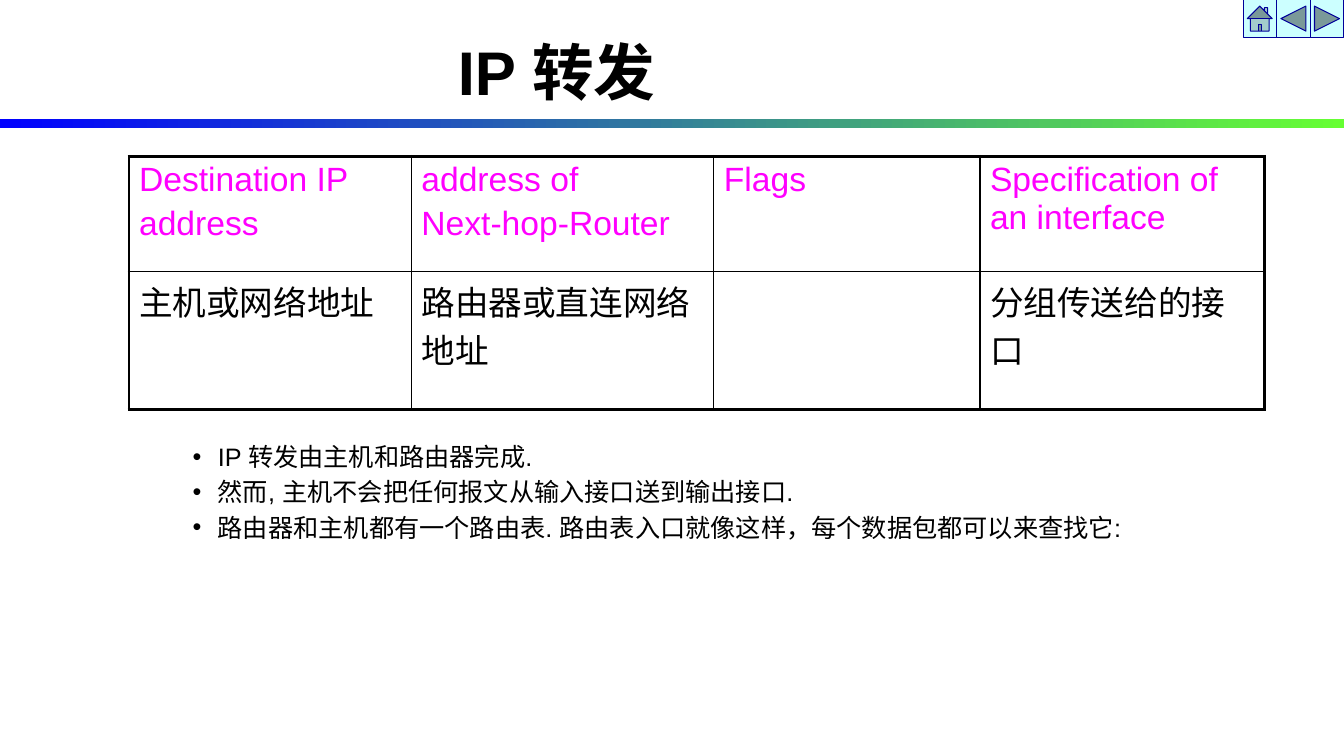
from dataclasses import dataclass

from lxml import etree
from pptx import Presentation
from pptx.dml.color import RGBColor
from pptx.enum import shapes, text
from pptx.oxml import ns
from pptx.util import Inches, Pt


@dataclass(frozen=True)
class Theme:
    black: str = "000000"
    header: str = "FF00FF"
    button: str = "CCFFFF"
    button_line: str = "000099"
    bar_start: str = "0000FF"
    bar_end: str = "66FF33"
    font: str = "Arial"
    cell_font: str = "Cabin"
    title_size: int = 44
    cell_size: int = 24
    list_size: int = 18
    outer_line: float = 2.25
    inner_line: float = 1


THEME = Theme()


def write(frame, lines, size, color, font=THEME.font, bold=False):
    """Fill a text frame with one formatted paragraph per line."""
    frame.text = "\n".join(lines)
    for index, para in enumerate(frame.paragraphs):
        para.space_before = Pt(size * 0.2 if index else 0)
        for span in para.runs:
            span.font.name = font
            span.font.size = Pt(size)
            span.font.bold = bold
            span.font.color.rgb = RGBColor.from_string(color)


def draw_border(cell, side, width):
    properties = cell._tc.get_or_add_tcPr()
    line = etree.SubElement(properties, ns.qn(f"a:ln{side}"), w=str(Pt(width)))
    fill = etree.SubElement(line, ns.qn("a:solidFill"))
    etree.SubElement(fill, ns.qn("a:srgbClr"), val=THEME.black)


deck = Presentation()
deck.slide_width, deck.slide_height = Inches(13.33), Inches(7.5)
page = deck.slides.add_slide(deck.slide_layouts[1])
title, body = page.placeholders

# Navigation buttons and colour bar
kinds = shapes.MSO_SHAPE
buttons = [
    kinds.ACTION_BUTTON_HOME,
    kinds.ACTION_BUTTON_BACK_OR_PREVIOUS,
    kinds.ACTION_BUTTON_FORWARD_OR_NEXT,
]
for index, kind in enumerate(buttons):
    left = 12.33 + index / 3
    button = page.shapes.add_shape(kind, Inches(left), 0, Inches(0.33), Inches(0.37))
    button.shadow.inherit = False
    button.fill.solid()
    button.fill.fore_color.rgb = RGBColor.from_string(THEME.button)
    button.line.color.rgb = RGBColor.from_string(THEME.button_line)
    button.line.width = Pt(0.75)

bar = page.shapes.add_shape(kinds.RECTANGLE, 0, Inches(1.18), deck.slide_width, Inches(0.09))
bar.shadow.inherit = False
bar.line.fill.background()
bar.fill.gradient()
bar.fill.gradient_angle = 0
for stop, color, position in zip(
    bar.fill.gradient_stops, (THEME.bar_start, THEME.bar_end), (0, 1)
):
    stop.color.rgb = RGBColor.from_string(color)
    stop.position = position

# Title
title.left, title.top = Inches(4.44), Inches(0.37)
title.width, title.height = Inches(5.1), Inches(1.25)
title.text_frame.vertical_anchor = text.MSO_ANCHOR.TOP
title.text_frame.auto_size = text.MSO_AUTO_SIZE.NONE
write(title.text_frame, ["IP 转发"], THEME.title_size, THEME.black, bold=True)
title.text_frame.paragraphs[0].alignment = text.PP_ALIGN.LEFT
title.text_frame.paragraphs[0].line_spacing = 0.9

# Bulleted list
body.left, body.top = Inches(1.81), Inches(4.33)
body.width, body.height = Inches(10), Inches(1.13)
body.text_frame.auto_size = text.MSO_AUTO_SIZE.SHAPE_TO_FIT_TEXT
points = [
    "IP 转发由主机和路由器完成.",
    "然而, 主机不会把任何报文从输入接口送到输出接口.",
    "路由器和主机都有一个路由表. 路由表入口就像这样，每个数据包都可以来查找它:",
]
write(body.text_frame, points, THEME.list_size, THEME.black)
for para in body.text_frame.paragraphs:
    properties = para._p.get_or_add_pPr()
    properties.set("marL", str(Inches(0.25)))
    properties.set("indent", str(-Inches(0.25)))

# Routing table
rows = [
    [
        ["Destination IP", "address"],
        ["address of", "Next-hop-Router"],
        ["Flags"],
        ["Specification of an interface"],
    ],
    [["主机或网络地址"], ["路由器或直连网络地址"], [], ["分组传送给的接口"]],
]
row_styles = [(THEME.header, THEME.font), (THEME.black, THEME.cell_font)]
widths, heights = [2.8, 3, 2.64, 2.82], [1.14, 1.37]
table = page.shapes.add_table(
    len(heights), len(widths), Inches(1.28), Inches(1.55),
    Inches(sum(widths)), Inches(sum(heights)),
).table
table.first_row = table.horz_banding = False
for column, width in zip(table.columns, widths):
    column.width = Inches(width)

for r, (row, height) in enumerate(zip(rows, heights)):
    table.rows[r].height = Inches(height)
    color, font = row_styles[r]
    for c, lines in enumerate(row):
        cell = table.cell(r, c)
        if lines:
            write(cell.text_frame, lines, THEME.cell_size, color, font)
        outer_sides = {
            "L": c == 0,
            "R": c == len(widths) - 1,
            "T": r == 0,
            "B": r == len(heights) - 1,
        }
        for side, outer in outer_sides.items():
            draw_border(cell, side, THEME.outer_line if outer else THEME.inner_line)
        cell.fill.background()

deck.save("out.pptx")
